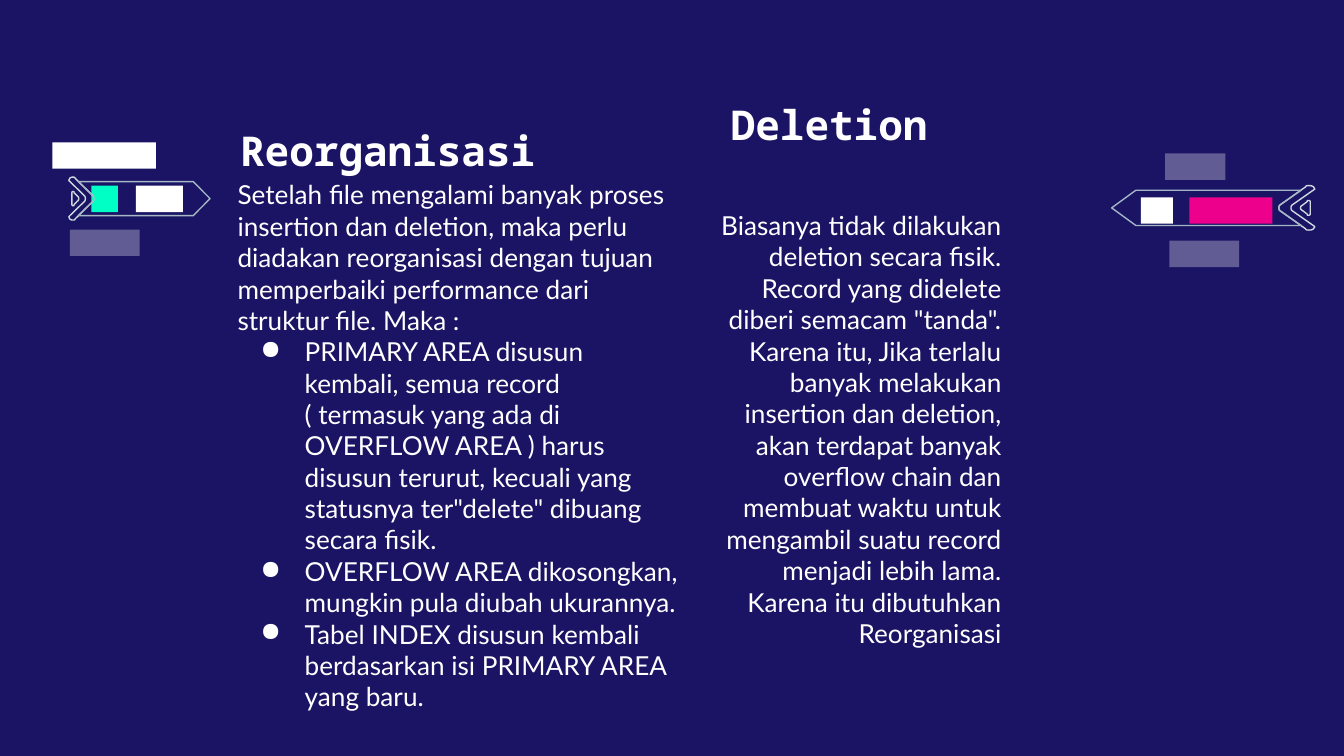
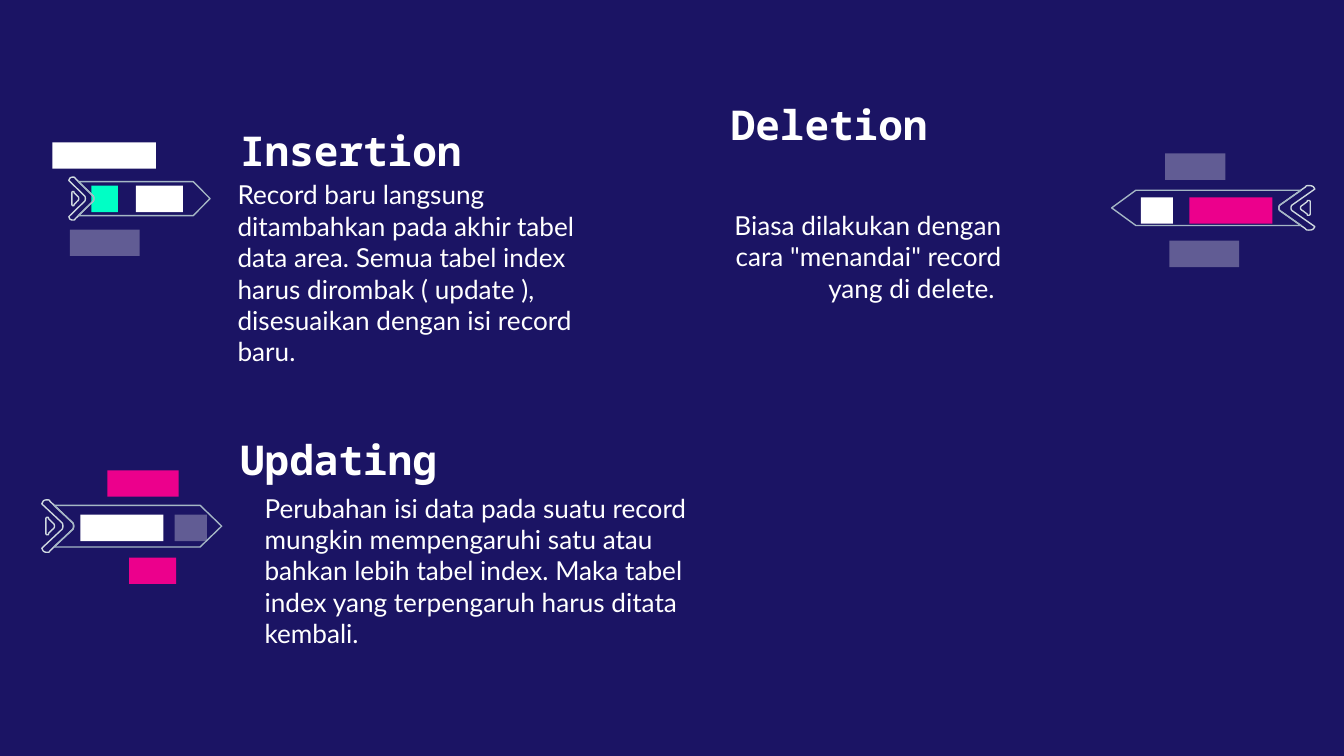
import pptx
import pptx.util
import pptx.dml.color
import pptx.enum.shapes
import pptx.enum.text
import pptx.oxml.ns
import lxml.etree

Cm = pptx.util.Cm
Pt = pptx.util.Pt
RGBColor = pptx.dml.color.RGBColor
qn = pptx.oxml.ns.qn
ALIGN = pptx.enum.text.PP_ALIGN
ANCHOR = pptx.enum.text.MSO_ANCHOR

NAVY = RGBColor(0x1B, 0x14, 0x64)
WHITE = RGBColor(0xFF, 0xFF, 0xFF)
TEAL = RGBColor(0x00, 0xFF, 0xC5)
PINK = RGBColor(0xEC, 0x00, 0x8C)
PALE = RGBColor(0xCF, 0xD9, 0xE0)
STEEL = RGBColor(0xA5, 0xB7, 0xC5)

ARROW_W, ARROW_H = 134, 39
FINS = [(4, 0), [(3, 0), (2, 0), (1, 1)], (0, 3), (15, 17),
        [(16, 18), (16, 21), (15, 22)], (0, 36), (1, 38),
        [(2, 39), (3, 39), (4, 39)], [(5, 39), (6, 39), (6, 38)], (23, 22),
        [(24, 21), (24, 18), (23, 17)], (6, 1), [(6, 0), (5, 0), (4, 0)]]
CORE = [(4, 13), [(3, 13), (3, 14), (3, 15)], (3, 24),
        [(3, 25), (3, 26), (4, 26)], [(5, 26), (5, 26), (5, 25)], (8, 22),
        [(10, 21), (10, 18), (8, 17)], (5, 14), [(5, 13), (5, 13), (4, 13)]]
SHAFT = [(9, 4), (23, 17), [(24, 18), (24, 21), (23, 22)], (9, 35),
         (118, 35), (134, 19.5), (118, 4)]


def flatten(path, steps=6):
    points = []
    for item in path:
        if isinstance(item, tuple):
            points.append(item)
            continue
        curve = [points[-1], *item]
        for i in range(1, steps + 1):
            t = i / steps
            weights = ((1 - t) ** 3, 3 * t * (1 - t) ** 2, 3 * t * t * (1 - t), t ** 3)
            points.append(tuple(sum(w * c[axis] for w, c in zip(weights, curve))
                                for axis in (0, 1)))
    return points


class Deck:
    title_font, title_size = "Noto Sans Mono", Pt(22)
    body_font, body_size = "Lato", Pt(14)
    bar_height = 0.5

    def __init__(self):
        self.prs = pptx.Presentation()
        self.prs.slide_width = Cm(25.4)
        self.prs.slide_height = Cm(14.29)
        self.s = None

    def slide(self):
        self.s = self.prs.slides.add_slide(self.prs.slide_layouts[6])
        fill = self.s.background.fill
        fill.solid()
        fill.fore_color.rgb = NAVY

    def bar(self, left, top, width, color=WHITE, alpha=None):
        sp = self.s.shapes.add_shape(pptx.enum.shapes.MSO_SHAPE.RECTANGLE,
                                     Cm(left), Cm(top), Cm(width), Cm(self.bar_height))
        sp.shadow.inherit = False
        sp.fill.solid()
        sp.fill.fore_color.rgb = color
        sp.line.fill.background()
        if alpha:
            clr = sp._element.spPr.find(".//" + qn("a:srgbClr"))
            lxml.etree.SubElement(clr, qn("a:alpha"), val=str(alpha * 1000))

    def ghost_bar(self, left, top, width):
        self.bar(left, top, width, WHITE, 31)

    def arrow(self, left, top, width, height, mirrored=False):
        parts = []
        for path, color in ((FINS, PALE), (CORE, PALE), (SHAFT, STEEL)):
            points = [(Cm(left + width * (ARROW_W - x if mirrored else x) / ARROW_W),
                       Cm(top + height * y / ARROW_H)) for x, y in flatten(path)]
            builder = self.s.shapes.build_freeform(*points[0])
            builder.add_line_segments(points[1:], close=True)
            sp = builder.convert_to_shape()
            sp.shadow.inherit = False
            sp.fill.background()
            sp.line.color.rgb = color
            sp.line.width = Pt(0.75)
            parts.append(sp)
        self.s.shapes.add_group_shape(parts)

    def frame(self, left, top, width, height, bottom, anchor, right=0.25):
        tf = self.s.shapes.add_textbox(Cm(left), Cm(top), Cm(width), Cm(height)).text_frame
        tf.word_wrap = True
        tf.vertical_anchor = anchor
        tf.margin_left, tf.margin_right = Cm(0.25), Cm(right)
        tf.margin_top, tf.margin_bottom = Cm(0), Cm(bottom)
        return tf

    def run(self, p, text, font, size, bold=False):
        r = p.add_run()
        r.text = text
        r.font.name, r.font.size, r.font.bold = font, size, bold
        r.font.color.rgb = WHITE

    def title(self, text, left, top, width=6.02, align=ALIGN.LEFT, right=0.25):
        tf = self.frame(left, top, width, 0.99, 0, ANCHOR.BOTTOM, right)
        p = tf.paragraphs[0]
        p.alignment = align
        self.run(p, text, self.title_font, self.title_size, True)

    def body(self, text, left, top, width, height, align=ALIGN.LEFT, bullets=()):
        tf = self.frame(left, top, width, height, 0.25, ANCHOR.TOP)
        p = tf.paragraphs[0]
        p.alignment = align
        self.run(p, text, self.body_font, self.body_size)
        for item in bullets:
            p = tf.add_paragraph()
            self.bullet(p)
            self.run(p, item, self.body_font, self.body_size)

    def bullet(self, p):
        pPr = p._p.get_or_add_pPr()
        pPr.set("marL", str(Cm(1.27)))
        pPr.set("indent", str(Cm(-0.84)))
        clr = lxml.etree.SubElement(pPr, qn("a:buClr"))
        lxml.etree.SubElement(clr, qn("a:srgbClr"), val=str(WHITE))
        lxml.etree.SubElement(pPr, qn("a:buChar"), char="●")

    def left_section(self, title, title_width, text, width, height, bullets=()):
        self.bar(0.99, 2.69, 1.96)
        self.bar(1.73, 3.51, 0.5, TEAL)
        self.bar(2.57, 3.51, 0.89)
        self.ghost_bar(1.32, 4.34, 1.32)
        self.arrow(1.3, 3.35, 2.67, 0.81)
        self.title(title, 4.29, 2.31, title_width)
        self.body(text, 4.24, 3.38, width, height, bullets=bullets)

    def deletion_section(self, text, height):
        self.ghost_bar(22.02, 2.9, 1.14)
        self.bar(21.56, 3.73, 0.61)
        self.bar(22.48, 3.73, 1.57, PINK)
        self.ghost_bar(22.1, 4.55, 1.32)
        self.arrow(21.01, 3.51, 3.84, 0.84, mirrored=True)
        self.title("Deletion", 13.16, 1.83, align=ALIGN.RIGHT, right=1.65)
        self.body(text, 13.16, 3.96, 6.02, height, ALIGN.RIGHT)

    def updating_section(self, text):
        self.bar(2.03, 8.89, 1.35, PINK)
        self.bar(1.52, 9.73, 1.57)
        self.ghost_bar(3.3, 9.73, 0.61)
        self.bar(2.44, 10.54, 0.89, PINK)
        self.arrow(0.79, 9.45, 3.4, 0.99)
        self.title("Updating", 4.29, 8.15)
        self.body(text, 4.75, 9.3, 9.09, 1.14)


def main():
    deck = Deck()

    deck.slide()
    deck.left_section(
        "Reorganisasi", 6.4,
        "Setelah file mengalami banyak proses insertion dan deletion, maka perlu "
        "diadakan reorganisasi dengan tujuan memperbaiki performance dari struktur "
        "file. Maka :",
        8.94, 10.92,
        ["PRIMARY AREA disusun kembali, semua record ( termasuk yang ada di OVERFLOW "
         "AREA ) harus disusun terurut, kecuali yang statusnya ter\"delete\" dibuang "
         "secara fisik.",
         "OVERFLOW AREA dikosongkan, mungkin pula diubah ukurannya.",
         "Tabel INDEX disusun kembali berdasarkan isi PRIMARY AREA yang baru."])
    deck.deletion_section(
        "Biasanya tidak dilakukan deletion secara fisik. Record yang didelete diberi "
        "semacam \"tanda\". Karena itu, Jika terlalu banyak melakukan insertion dan "
        "deletion, akan terdapat banyak overflow chain dan membuat waktu untuk "
        "mengambil suatu record menjadi lebih lama. Karena itu dibutuhkan Reorganisasi",
        10.34)

    deck.slide()
    deck.left_section(
        "Insertion", 6.02,
        "Record baru langsung ditambahkan pada akhir tabel data area. Semua tabel "
        "index harus dirombak ( update ), disesuaikan dengan isi record baru.",
        7.57, 4.04)
    deck.deletion_section(
        "Biasa dilakukan dengan cara \"menandai\" record yang di delete. ", 1.14)
    deck.updating_section(
        "Perubahan isi data pada suatu record mungkin mempengaruhi satu atau bahkan "
        "lebih tabel index. Maka tabel index yang terpengaruh harus ditata kembali.")

    deck.prs.save("out.pptx")


if __name__ == "__main__":
    main()
